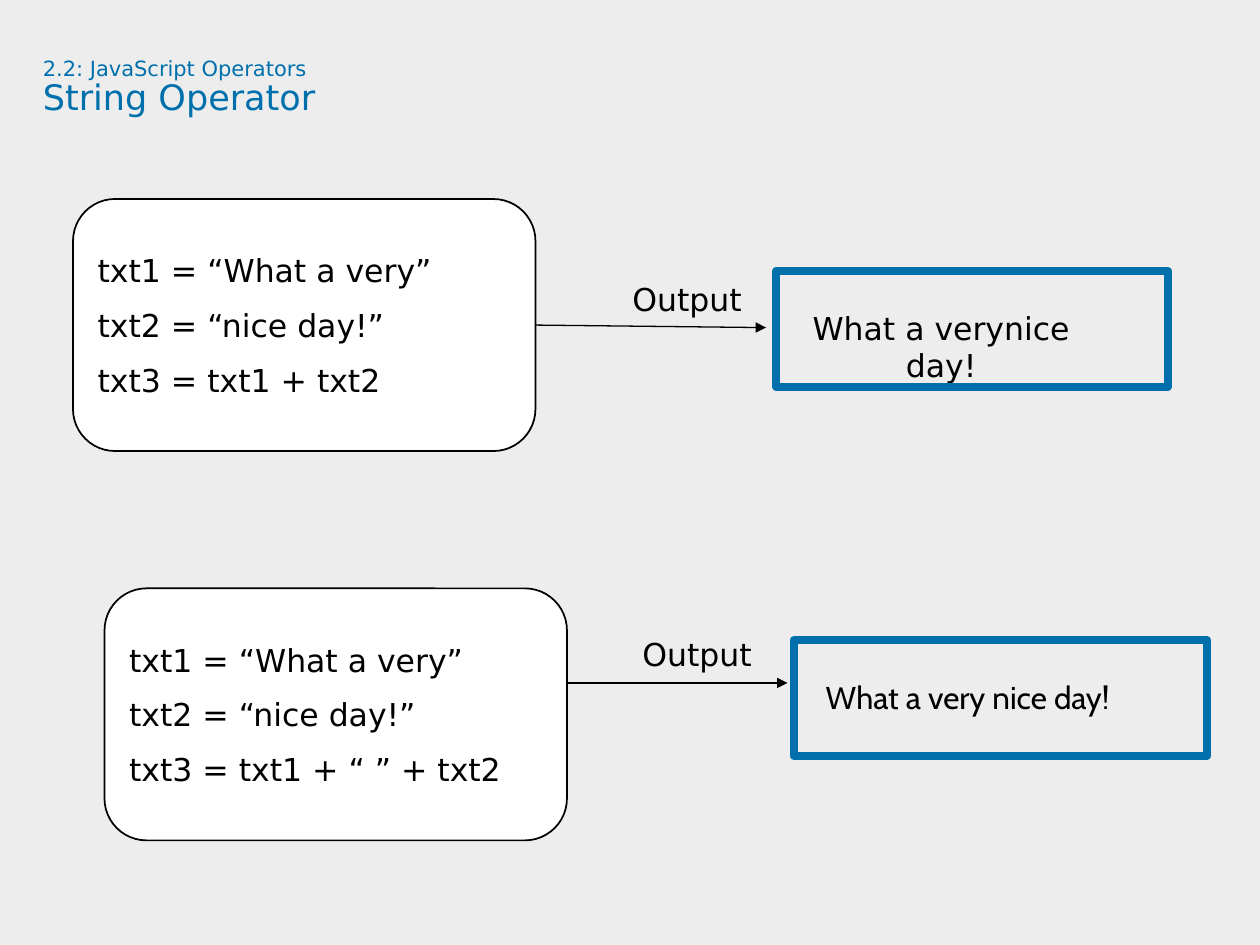
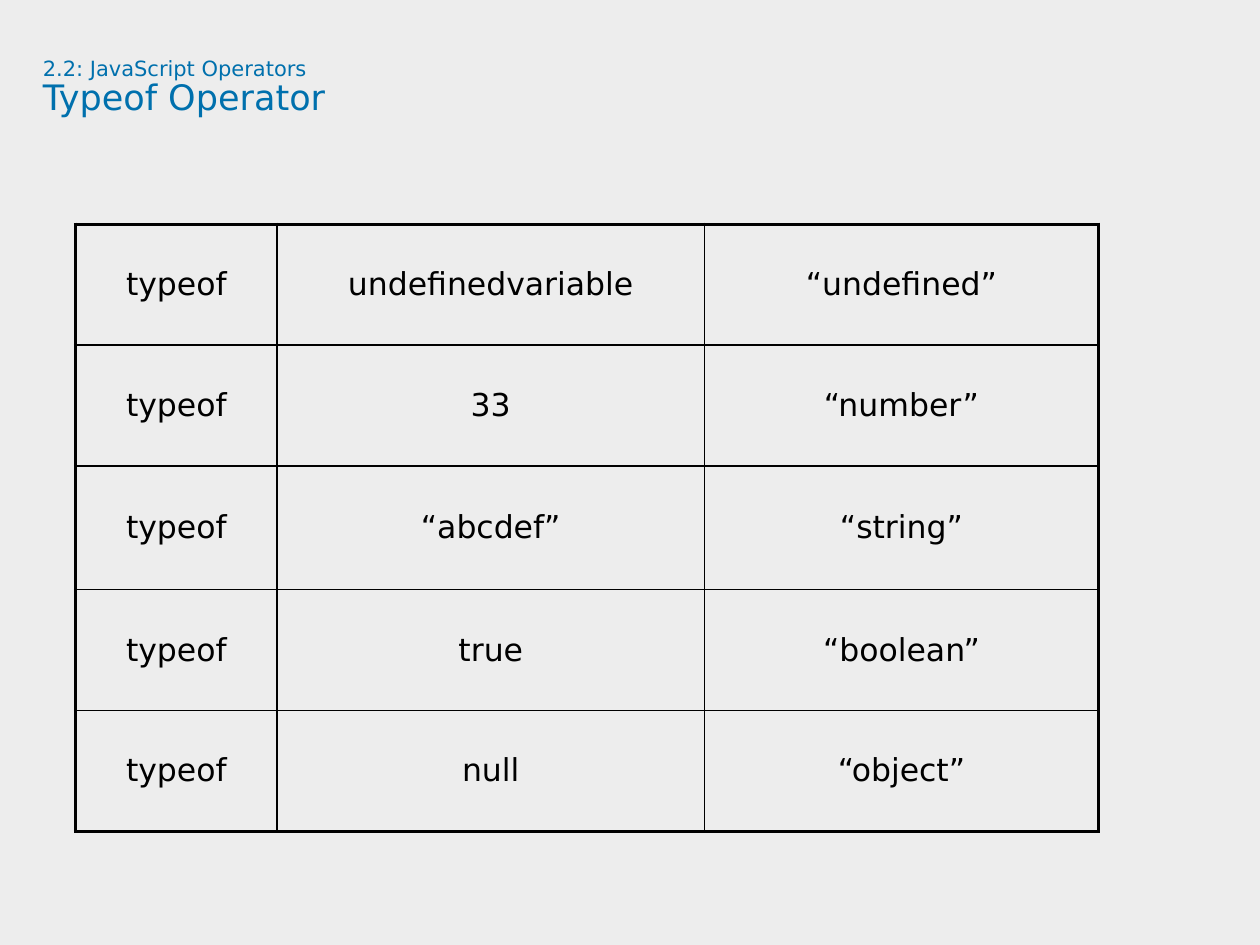
from lxml import etree
from pptx import Presentation
from pptx.dml.color import RGBColor
from pptx.enum.shapes import MSO_CONNECTOR, MSO_SHAPE
from pptx.enum.text import MSO_ANCHOR, PP_ALIGN
from pptx.oxml.ns import qn
from pptx.util import Inches, Pt

ROUND, RECT = MSO_SHAPE.ROUNDED_RECTANGLE, MSO_SHAPE.RECTANGLE
STRAIGHT = MSO_CONNECTOR.STRAIGHT
LEFT, CENTER = PP_ALIGN.LEFT, PP_ALIGN.CENTER
TOP, MIDDLE = MSO_ANCHOR.TOP, MSO_ANCHOR.MIDDLE
RIGHT_SIDE = 3

# Shared style
BLUE, BLACK, WHITE, GREY = "0070AD", "000000", "FFFFFF", "EDEDED"
FONT = "DejaVu Sans"
SECTION = "2.2: JavaScript Operators"
THICK, THIN = 2.25, 1


def rgb(color):
    return RGBColor.from_string(color)


def write(tf, lines, size=18, font=FONT, color=BLACK, align=LEFT,
          anchor=TOP, wrap=True, gap=0):
    """Write one paragraph per line; size may be one number or one per line."""
    tf.word_wrap = wrap
    tf.vertical_anchor = anchor
    sizes = size if isinstance(size, list) else [size] * len(lines)
    for i, (line, points) in enumerate(zip(lines, sizes)):
        p = tf.add_paragraph() if i else tf.paragraphs[0]
        p.alignment = align
        if i and gap:
            p.space_before = Pt(gap)
        r = p.add_run()
        r.text = line
        r.font.size = Pt(points)
        r.font.name = font
        r.font.color.rgb = rgb(color)


def add_text(slide, box, lines, **style):
    tf = slide.shapes.add_textbox(*map(Inches, box)).text_frame
    write(tf, lines, **style)
    return tf


def add_box(slide, kind, box, line, width, fill=None):
    sp = slide.shapes.add_shape(kind, *map(Inches, box))
    sp.shadow.inherit = False
    sp.line.color.rgb = rgb(line)
    sp.line.width = Pt(width)
    if fill:
        sp.fill.solid()
        sp.fill.fore_color.rgb = rgb(fill)
    else:
        sp.fill.background()
    return sp


def add_code(slide, left, top, lines):
    sp = add_box(slide, ROUND, (left, top, 3.67, 2), BLACK, 1, WHITE)
    write(sp.text_frame, lines, anchor=MIDDLE, gap=9.7)
    return sp


def add_result(slide, frame, text_box, text, **style):
    add_text(slide, text_box, [text], align=CENTER, **style)
    add_box(slide, RECT, frame, BLUE, 4.5)


def add_arrow(slide, start, end):
    line = slide.shapes.add_connector(STRAIGHT, *map(Inches, start + end))
    line.line.color.rgb = rgb(BLACK)
    line.line.width = Pt(0.75)
    etree.SubElement(line.line._get_or_add_ln(), qn("a:tailEnd"), type="triangle")
    etree.SubElement(line._element.spPr, qn("a:effectLst"))
    return line


def add_border(cell, side, width):
    ln = etree.SubElement(cell._tc.get_or_add_tcPr(), qn("a:ln" + side),
                          w=str(Pt(width)))
    fill = etree.SubElement(ln, qn("a:solidFill"))
    etree.SubElement(fill, qn("a:srgbClr"), val=BLACK)


def add_grid(slide, left, top, widths, heights, rows):
    """Table with a thick outer frame and thin inner rules."""
    box = map(Inches, (left, top, sum(widths), sum(heights)))
    table = slide.shapes.add_table(len(rows), len(widths), *box).table
    table.first_row = table.horz_banding = False
    for column, width in zip(table.columns, widths):
        column.width = Inches(width)
    for i, (values, height) in enumerate(zip(rows, heights)):
        table.rows[i].height = Inches(height)
        for j, value in enumerate(values):
            cell = table.cell(i, j)
            outer = {"L": j == 0, "R": j == len(widths) - 1,
                     "T": i == 0, "B": i == len(rows) - 1}
            for side, is_outer in outer.items():
                add_border(cell, side, THICK if is_outer else THIN)
            cell.fill.background()
            write(cell.text_frame, [value], align=CENTER)
            cell.vertical_anchor = MIDDLE


def add_slide(prs, title):
    slide = prs.slides.add_slide(prs.slide_layouts[6])
    tf = add_text(slide, (0.34, 0.46, 9.09, 0.94), [SECTION, title],
                  size=[12, 20], color=BLUE)
    tf.margin_left = tf.margin_top = tf.margin_right = tf.margin_bottom = 0
    for p in tf.paragraphs:
        p.line_spacing = 0.9
    return slide


def build_string_operator(prs):
    slide = add_slide(prs, "String Operator")
    strings = ["txt1 = “What a very”", "txt2 = “nice day!”"]

    # Joined without a space
    code = add_code(slide, 0.58, 1.58, strings + ["txt3 = txt1 + txt2"])
    add_result(slide, (6.16, 2.15, 3.11, 0.92), (6.19, 2.4, 2.56, 0.4),
               "What a verynice day!")
    arrow = add_arrow(slide, (4.25, 2.58), (6.08, 2.6))
    arrow.begin_connect(code, RIGHT_SIDE)
    add_text(slide, (4.92, 2.17, 1.08, 0.4), ["Output"])

    # Joined with a space
    add_code(slide, 0.83, 4.67, strings + ["txt3 = txt1 + “ ” + txt2"])
    add_result(slide, (6.3, 5.08, 3.28, 0.92), (6.45, 5.33, 2.46, 0.4),
               "What a very nice day!", font="Cabin", wrap=False)
    add_arrow(slide, (4.5, 5.42), (6.25, 5.42))
    add_text(slide, (5, 4.99, 1.08, 0.4), ["Output"])


def build_typeof_operator(prs):
    slide = add_slide(prs, "Typeof Operator")
    results = [
        ("undefinedvariable", "“undefined”"),
        ("33", "“number”"),
        ("“abcdef”", "“string”"),
        ("true", "“boolean”"),
        ("null", "“object”"),
    ]
    add_grid(slide, 0.6, 1.78, [1.6, 3.39, 3.13], [0.96, 0.96, 0.98, 0.96, 0.96],
             [("typeof", *result) for result in results])


def main():
    prs = Presentation()
    prs.slide_width, prs.slide_height = Inches(10), Inches(7.5)
    background = prs.slide_master.background.fill
    background.solid()
    background.fore_color.rgb = rgb(GREY)
    build_string_operator(prs)
    build_typeof_operator(prs)
    prs.save("out.pptx")


if __name__ == "__main__":
    main()
